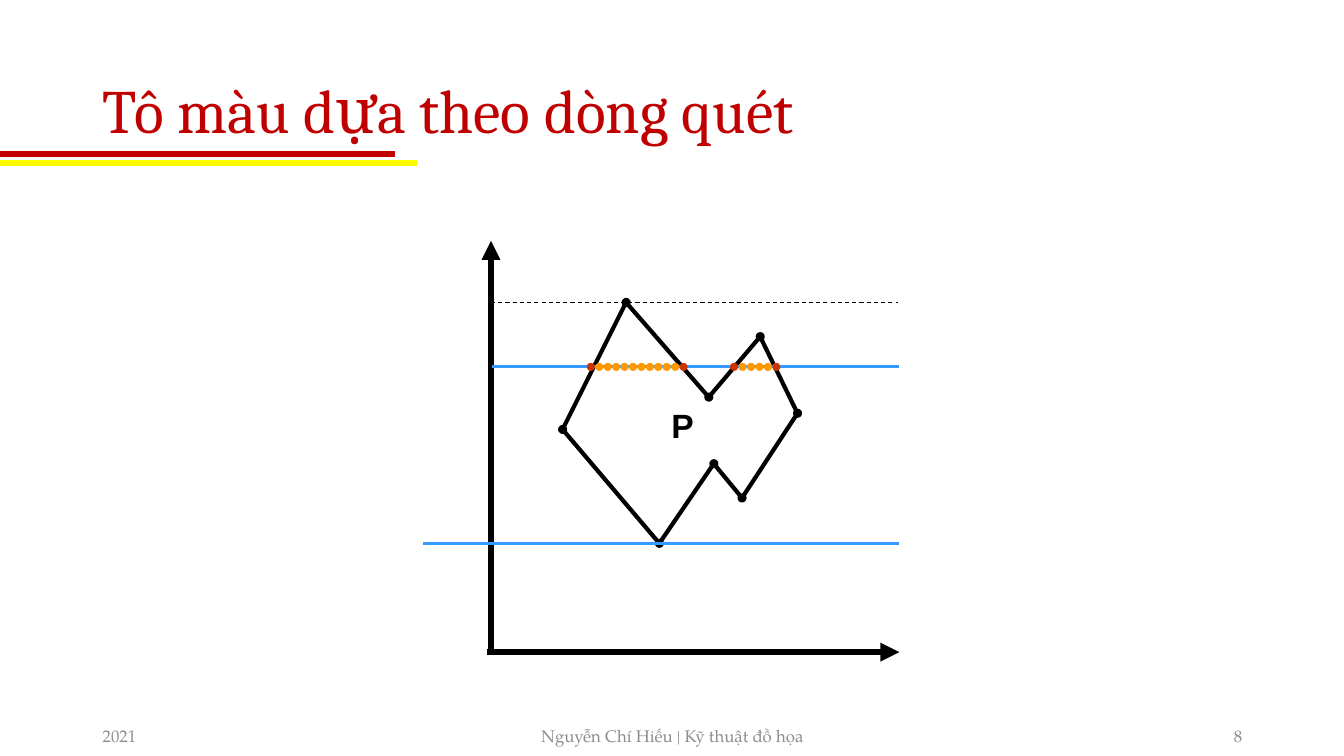
from lxml import etree
from pptx import Presentation
from pptx.dml.color import RGBColor
from pptx.enum.dml import MSO_LINE
from pptx.enum.shapes import MSO_CONNECTOR, MSO_SHAPE
from pptx.enum.text import MSO_ANCHOR, MSO_AUTO_SIZE, PP_ALIGN
from pptx.oxml.ns import qn
from pptx.util import Pt

STRAIGHT = MSO_CONNECTOR.STRAIGHT
OVAL = MSO_SHAPE.OVAL
DASH = MSO_LINE.DASH
MIDDLE, TOP = MSO_ANCHOR.MIDDLE, MSO_ANCHOR.TOP
LEFT, CENTER, RIGHT = PP_ALIGN.LEFT, PP_ALIGN.CENTER, PP_ALIGN.RIGHT
NO_AUTOFIT = MSO_AUTO_SIZE.NONE

BLACK = RGBColor(0x00, 0x00, 0x00)
WHITE = RGBColor(0xFF, 0xFF, 0xFF)
RED = RGBColor(0xC0, 0x00, 0x00)
YELLOW = RGBColor(0xFC, 0xFB, 0x01)
BLUE = RGBColor(0x33, 0x99, 0xFF)
CROSSING = RGBColor(0xCC, 0x33, 0x00)
ORANGE = RGBColor(0xFF, 0x99, 0x00)
GRAY = RGBColor(0x8C, 0x8C, 0x8C)

PX = 9144
DOT = 8
SCAN_Y = 364
BOTTOM_Y = 539

TITLE = "Tô màu dựa theo dòng quét"
TITLE_BOX = (92, 40, 1150, 145)
FOOTERS = [
    ("2021", (92, 710, 300, 40), LEFT),
    ("Nguyễn Chí Hiếu | Kỹ thuật đồ họa", (442, 710, 450, 40), CENTER),
    ("8", (942, 710, 300, 40), RIGHT),
]
POLYGON = [(703, 394), (621, 300), (558, 426), (654, 539),
           (708, 460), (736, 494), (791, 410), (754, 334)]
TITLE_RULES = [((0, 162), (414, 162), YELLOW), ((0, 153), (392, 153), RED)]
AXES = [((483, 647), (892, 647)), ((487, 647), (487, 239))]
LIMITS = [300, BOTTOM_Y]
FILLED_SPANS = [(586, 678, 11), (728, 770, 5)]


def emu(lengths):
    return [length * PX for length in lengths]


def add_line(start, end, color, width):
    line = slide.shapes.add_connector(STRAIGHT, *emu(start + end))
    line.line.color.rgb = color
    line.line.width = Pt(width)
    etree.SubElement(line._element.spPr, qn("a:effectLst"))
    return line


def add_dot(x, y, color, outlined=False):
    corner = (x - DOT / 2, y - DOT / 2)
    dot = slide.shapes.add_shape(OVAL, *map(round, emu(corner + (DOT, DOT))))
    dot.shadow.inherit = False
    dot.fill.solid()
    dot.fill.fore_color.rgb = color
    if outlined:
        dot.line.color.rgb = color
        dot.line.width = Pt(0.75)
    else:
        dot.line.fill.background()


def write(box, text, font_name, size, color, align, anchor):
    frame = box.text_frame
    frame.word_wrap = True
    frame.auto_size = NO_AUTOFIT
    frame.vertical_anchor = anchor
    para = frame.paragraphs[0]
    para.text = text
    para.alignment = align
    para.font.name = font_name
    para.font.size = Pt(size)
    para.font.color.rgb = color
    return para


deck = Presentation()
deck.slide_width, deck.slide_height = emu((1333, 750))
slide = deck.slides.add_slide(deck.slide_layouts[5])

for start, end, color in TITLE_RULES:
    add_line(start, end, color, 4.25)

title = slide.shapes.title
title.left, title.top, title.width, title.height = emu(TITLE_BOX)
write(title, TITLE, "Cambria", 44, RED, LEFT, MIDDLE).line_spacing = 0.9

for text, place, align in FOOTERS:
    footer = slide.shapes.add_textbox(*emu(place))
    write(footer, text, "TeX Gyre Pagella", 12, GRAY, align, MIDDLE)

builder = slide.shapes.build_freeform(*POLYGON[0], scale=PX)
builder.add_line_segments(POLYGON[1:], close=True)
polygon = builder.convert_to_shape()
polygon.shadow.inherit = False
polygon.fill.solid()
polygon.fill.fore_color.rgb = WHITE
polygon.line.color.rgb = BLACK
polygon.line.width = Pt(3)

for start, end in AXES:
    axis = add_line(start, end, BLACK, 4.5)
    etree.SubElement(axis.line._get_or_add_ln(), qn("a:tailEnd"), type="triangle")

for y in LIMITS:
    add_line((487, y), (891, y), BLACK, 0.75).line.dash_style = DASH

for x, y in POLYGON:
    add_dot(x, y, BLACK, outlined=True)

add_line((488, SCAN_Y), (892, SCAN_Y), BLUE, 2.25)
for first, last, steps in FILLED_SPANS:
    for step in range(steps + 1):
        color = CROSSING if step in (0, steps) else ORANGE
        add_dot(first + (last - first) * step / steps, SCAN_Y, color)

label = slide.shapes.add_textbox(*emu((656, 397, 43, 50)))
write(label, "P", "Arial", 24, BLACK, LEFT, TOP).font.bold = True

add_line((420, BOTTOM_Y), (892, BOTTOM_Y), BLUE, 2.25)

deck.save("out.pptx")
